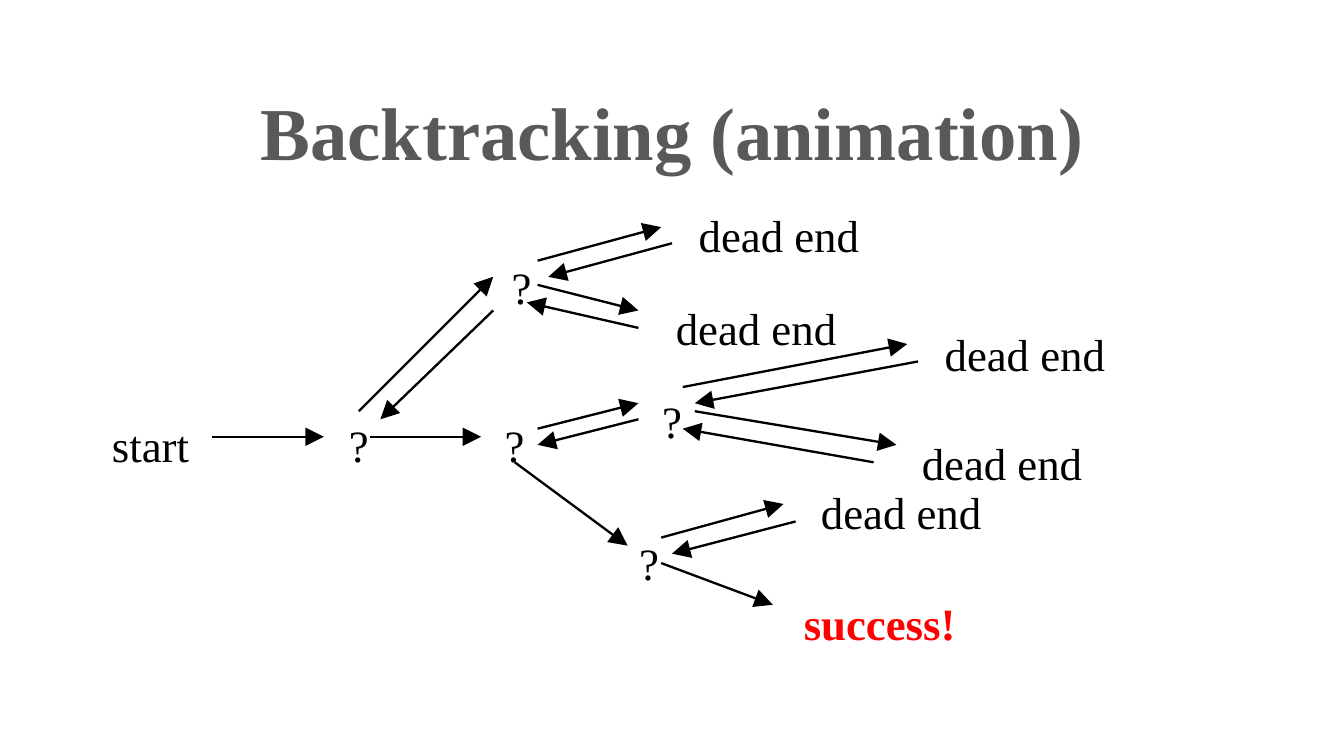
from typing import NamedTuple

from lxml.etree import SubElement
from pptx import Presentation
from pptx.dml.color import RGBColor
from pptx.enum.shapes import MSO_CONNECTOR
from pptx.enum.text import MSO_ANCHOR, MSO_AUTO_SIZE, PP_ALIGN
from pptx.oxml.ns import qn
from pptx.slide import Slide
from pptx.util import Inches, Pt

BLACK = RGBColor(0x00, 0x00, 0x00)
GRAY = RGBColor(0x59, 0x59, 0x59)
RED = RGBColor(0xFF, 0x00, 0x00)
FONT_NAME = "Times New Roman"
PAGE_WIDTH = 10
LABEL_HEIGHT = 0.5
DEAD_END_WIDTH = 1.75


class Label(NamedTuple):
    text: str
    left: float
    top: float
    width: float
    height: float = LABEL_HEIGHT
    size: int = 24
    color: RGBColor = BLACK
    bold: bool = False
    anchor: MSO_ANCHOR = MSO_ANCHOR.TOP
    auto_size: MSO_AUTO_SIZE = MSO_AUTO_SIZE.SHAPE_TO_FIT_TEXT


class Arrow(NamedTuple):
    start_x: float
    start_y: float
    end_x: float
    end_y: float


def add_label(page: Slide, label: Label) -> None:
    box = page.shapes.add_textbox(
        Inches(label.left), Inches(label.top), Inches(label.width), Inches(label.height)
    )
    frame = box.text_frame
    frame_format = {
        "word_wrap": True,
        "auto_size": label.auto_size,
        "vertical_anchor": label.anchor,
    }
    for name, value in frame_format.items():
        setattr(frame, name, value)
    para = frame.paragraphs[0]
    para.alignment = PP_ALIGN.CENTER
    span = para.add_run()
    span.text = label.text
    font_format = {"name": FONT_NAME, "size": Pt(label.size), "bold": label.bold}
    for name, value in font_format.items():
        setattr(span.font, name, value)
    span.font.color.rgb = label.color


def add_arrow(page: Slide, arrow: Arrow) -> None:
    connector = page.shapes.add_connector(
        MSO_CONNECTOR.STRAIGHT, *(Inches(length) for length in arrow)
    )
    connector.line.color.rgb = BLACK
    connector.line.width = Pt(1.25)
    properties = connector._element.spPr
    outline = properties.find(qn("a:ln"))
    SubElement(outline, qn("a:tailEnd"), type="triangle", w="lg", len="lg")
    SubElement(properties, qn("a:effectLst"))


TITLE = Label(
    "Backtracking (animation)", 0.75, 0.5, 8.5, 0.94, 40, GRAY, True,
    MSO_ANCHOR.MIDDLE, MSO_AUTO_SIZE.NONE,
)
START = Label("start", 0.58, 3.06, 1.08)
SUCCESS = Label("success!", 5.67, 4.38, DEAD_END_WIDTH, color=RED, bold=True)

# Left, top and width of each choice point
CHOICES = [
    (2.42, 3.06, 0.5),
    (3.67, 1.88, 0.42),
    (3.58, 3.06, 0.5),
    (4.75, 2.88, 0.5),
    (4.58, 3.94, 0.5),
]

# Left and top of each dead end
DEAD_ENDS = [(4.92, 1.5), (4.75, 2.19), (6.75, 2.38), (6.58, 3.19), (5.83, 3.56)]

FORWARD_ARROWS = [
    Arrow(1.58, 3.25, 2.41, 3.25),
    Arrow(2.67, 3.06, 3.67, 2.06),
    Arrow(2.75, 3.25, 3.58, 3.25),
    Arrow(4, 1.94, 4.92, 1.69),
    Arrow(4, 2.12, 4.75, 2.31),
    Arrow(4, 3.19, 4.75, 3),
    Arrow(5.08, 2.88, 6.75, 2.56),
    Arrow(5.17, 3.06, 6.67, 3.31),
    Arrow(3.83, 3.44, 4.67, 4.06),
    Arrow(4.92, 4, 5.83, 3.75),
    Arrow(4.92, 4.19, 5.75, 4.5),
]

BACKTRACK_ARROWS = [
    Arrow(5, 1.81, 4.08, 2.06),
    Arrow(4.75, 2.44, 3.92, 2.25),
    Arrow(3.67, 2.31, 2.83, 3.12),
    Arrow(6.83, 2.69, 5.17, 3),
    Arrow(6.5, 3.44, 5.08, 3.19),
    Arrow(4.75, 3.12, 4, 3.31),
    Arrow(5.92, 3.88, 5, 4.12),
]


def main() -> None:
    deck = Presentation()
    deck.slide_width = Inches(PAGE_WIDTH)
    deck.slide_height = Inches(PAGE_WIDTH * 9 / 16)
    page = deck.slides.add_slide(deck.slide_layouts[6])

    # Title and nodes of the search tree
    choices = [Label("?", *place) for place in CHOICES]
    dead_ends = [Label("dead end", *place, DEAD_END_WIDTH) for place in DEAD_ENDS]
    for label in [TITLE, START, *choices, *dead_ends, SUCCESS]:
        add_label(page, label)

    # Steps forward and back
    for arrow in FORWARD_ARROWS + BACKTRACK_ARROWS:
        add_arrow(page, arrow)

    deck.save("out.pptx")


if __name__ == "__main__":
    main()
